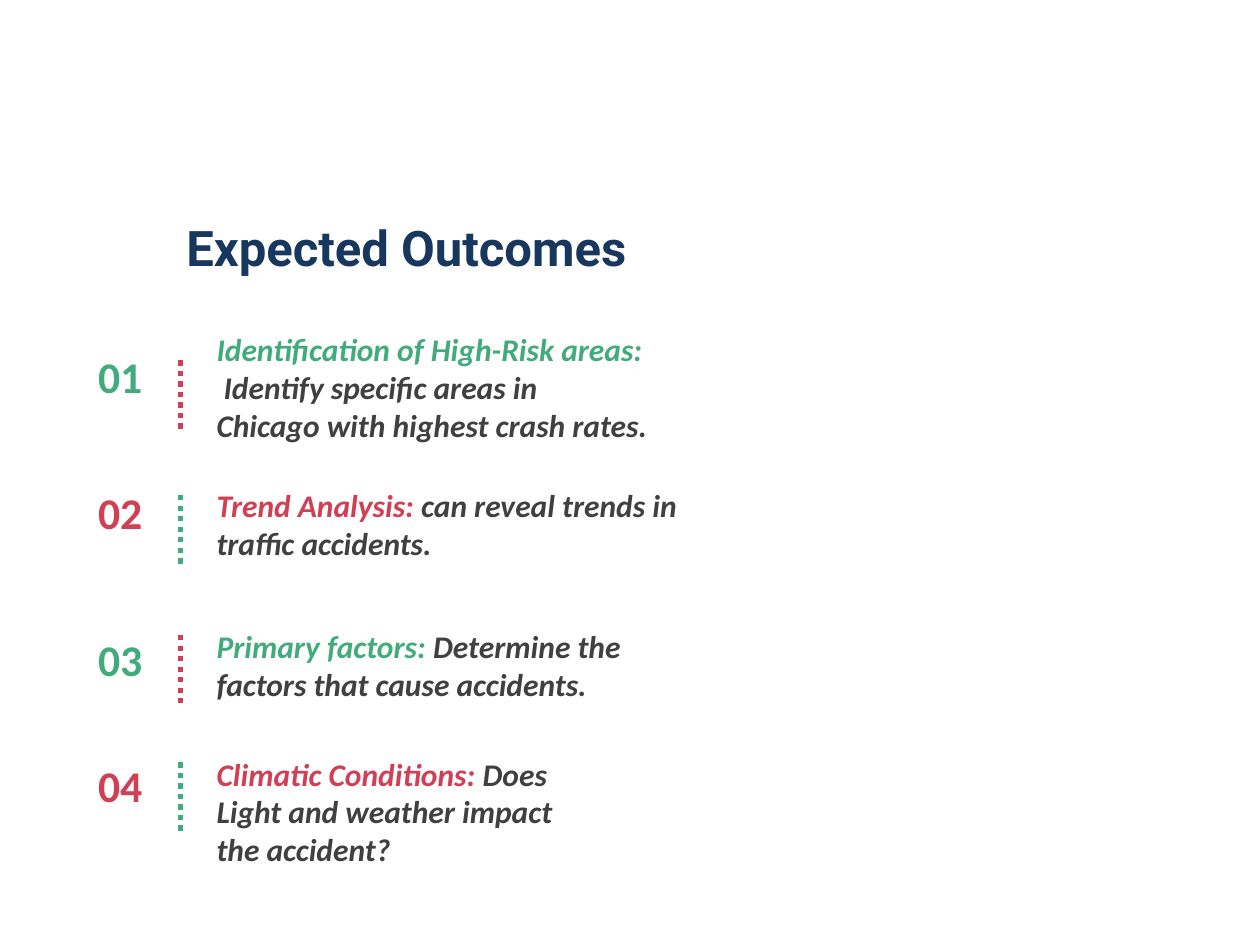
from pptx import Presentation
from pptx.dml.color import RGBColor
from pptx.enum.dml import MSO_LINE as Dash
from pptx.enum.shapes import MSO_CONNECTOR as Conn
from pptx.enum.text import MSO_ANCHOR as Anchor, MSO_AUTO_SIZE as Auto, PP_ALIGN as Align
from pptx.oxml.ns import qn
from pptx.util import Inches, Pt
from lxml import etree

GREEN, RED, GREY, NAVY = "42AB7D", "D03F54", "404040", "17375E"
HEAD = {"name": "Roboto", "size": Pt(28), "bold": True}
NUM = {"name": "Calibri", "size": Pt(25), "bold": True}
BODY = {"name": "Calibri", "size": Pt(18), "bold": True, "italic": True}


def rgb(code):
    return RGBColor.from_string(code)


def write(shape, paras, style, wrap=True):
    """Fill a shape with paragraphs, each a list of (text, colour) runs."""
    frame = shape.text_frame
    frame.word_wrap = wrap
    frame.auto_size = Auto.SHAPE_TO_FIT_TEXT
    frame.vertical_anchor = Anchor.TOP
    for i, runs in enumerate(paras):
        para = frame.add_paragraph() if i else frame.paragraphs[0]
        para.alignment = Align.LEFT
        for text, color in runs:
            run = para.add_run()
            run.text = text
            for key, value in style.items():
                setattr(run.font, key, value)
            run.font.color.rgb = rgb(color)


deck = Presentation()
deck.slide_width, deck.slide_height = Inches(10), Inches(7.5)
slide = deck.slides.add_slide(deck.slide_layouts[5])

# Title
title = slide.shapes.title
title.left, title.top = Inches(1.38), Inches(1.68)
title.width, title.height = Inches(4.17), Inches(0.57)
write(title, [[("Expected Outcomes", NAVY)]], HEAD)

# Outcomes: number top, line top, text top, width, height, lead, paragraphs after it
items = [
    (2.73, 2.86, 2.57, 4.01, 1.01, "Identification of High-Risk areas:",
     ["", " Identify specific areas in", "Chicago with highest crash rates."]),
    (3.81, 3.93, 3.81, 4.15, 0.71, "Trend Analysis: ",
     ["can reveal trends in traffic accidents."]),
    (4.97, 5.04, 4.93, 3.78, 0.71, "Primary factors: ",
     ["Determine the factors that cause accidents."]),
    (5.97, 6.05, 5.94, 3.09, 1.01, "Climatic Conditions: ",
     ["Does Light and weather impact the accident?"]),
]
for i, (num_y, line_y, text_y, wide, high, lead, rest) in enumerate(items):
    main, other = (RED, GREEN) if i % 2 else (GREEN, RED)
    group = slide.shapes.add_group_shape().shapes

    # Lead phrase and detail
    box = group.add_textbox(Inches(1.62), Inches(text_y), Inches(wide), Inches(high))
    first = [(lead, main)] + ([(rest[0], GREY)] if rest[0] else [])
    write(box, [first] + [[(text, GREY)] for text in rest[1:]], BODY)

    # Number
    box = group.add_textbox(Inches(0.68), Inches(num_y), Inches(0.56), Inches(0.52))
    write(box, [[(f"{i + 1:02}", main)]], NUM, wrap=False)

    # Dotted divider
    rule = group.add_connector(Conn.STRAIGHT, Inches(1.43), Inches(line_y),
                               Inches(1.43), Inches(line_y + 0.55))
    rule.line.color.rgb = rgb(other)
    rule.line.width = Pt(3)
    rule.line.dash_style = Dash.ROUND_DOT
    etree.SubElement(rule._element.spPr, qn("a:effectLst"))

deck.save("out.pptx")
